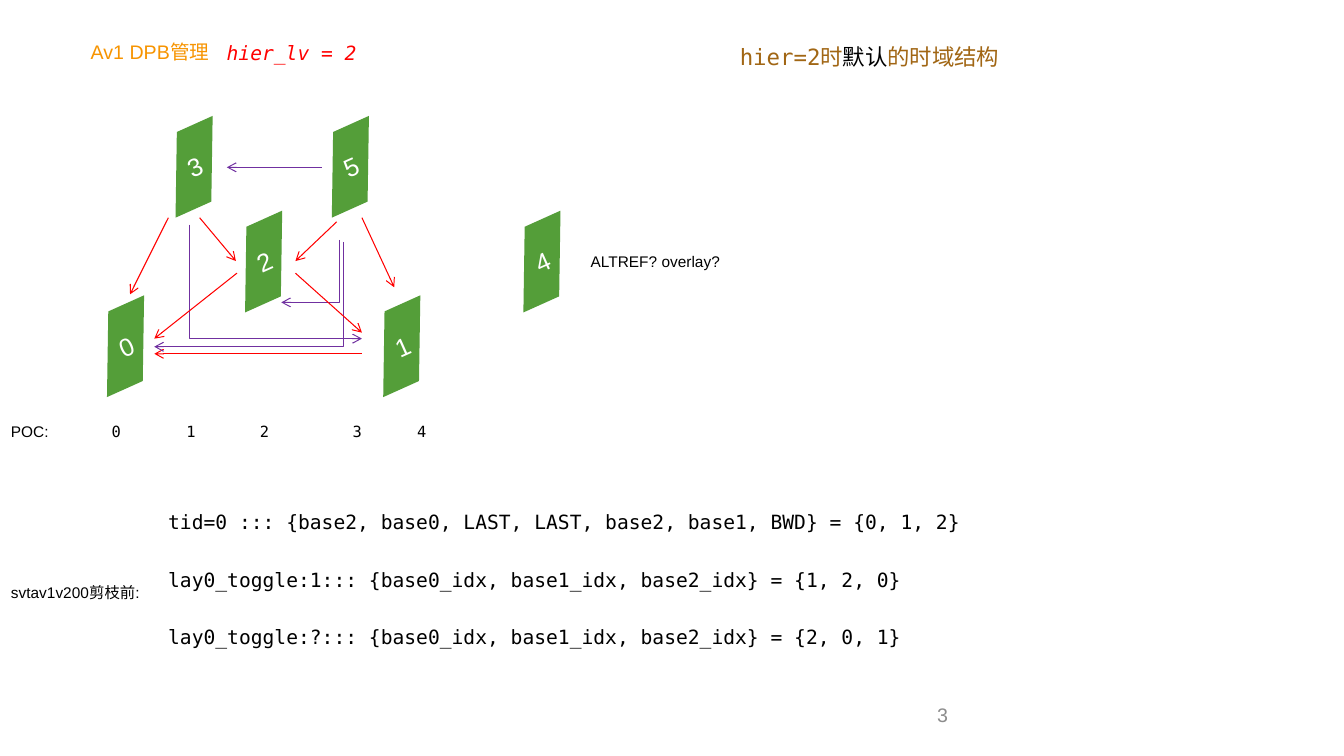
"""Build the slide on the default temporal structure for hier=2."""
from dataclasses import dataclass

from lxml import etree
from pptx import Presentation
from pptx.dml.color import RGBColor
from pptx.enum.shapes import MSO_CONNECTOR, MSO_SHAPE
from pptx.enum.text import MSO_ANCHOR, PP_ALIGN
from pptx.oxml.ns import qn
from pptx.util import Inches, Pt

STRAIGHT, ELBOW = MSO_CONNECTOR.STRAIGHT, MSO_CONNECTOR.ELBOW
PARALLELOGRAM = MSO_SHAPE.PARALLELOGRAM
TOP, MIDDLE = MSO_ANCHOR.TOP, MSO_ANCHOR.MIDDLE
LEFT, CENTER, RIGHT = PP_ALIGN.LEFT, PP_ALIGN.CENTER, PP_ALIGN.RIGHT

GREEN = RGBColor(0x54, 0x9E, 0x39)
RED = RGBColor(0xFF, 0x00, 0x00)
PURPLE = RGBColor(0x70, 0x30, 0xA0)
ORANGE = RGBColor(0xF7, 0x94, 0x00)
BROWN = RGBColor(0xA1, 0x66, 0x14)
GRAY = RGBColor(0x8C, 0x8C, 0x8C)
BLACK = RGBColor(0x00, 0x00, 0x00)
WHITE = RGBColor(0xFF, 0xFF, 0xFF)

SANS, MONO = "Arial", "DejaVu Sans Mono"
CELL = Inches(0.1)
FRAME_W, FRAME_H = 7.5, 7.7
TOP_ROW, MID_ROW, BASE_ROW = 12.7, 22.1, 30.5


@dataclass(frozen=True)
class Run:
    """Text in one font and colour."""
    text: str
    color: RGBColor = BLACK
    font: str = SANS
    italic: bool = False


@dataclass(frozen=True)
class Label:
    """Text box placed in grid columns and rows."""
    col: float
    row: float
    cols: float
    rows: float
    size: int
    paragraphs: tuple[tuple[Run, ...], ...]
    anchor: int = TOP
    align: int = LEFT
    line_spacing: float = 1.0
    gap: float = 0
    tabs: tuple[float, ...] = ()


@dataclass(frozen=True)
class Frame:
    """Numbered video frame."""
    number: str
    col: float
    row: float


@dataclass(frozen=True)
class Arrow:
    """Reference from one frame to another."""
    start: tuple[float, float]
    end: tuple[float, float]
    color: RGBColor = RED
    kind: int = STRAIGHT


FRAMES = (
    Frame("0", 8.7, BASE_ROW), Frame("1", 36.1, BASE_ROW),
    Frame("2", 22.4, MID_ROW), Frame("3", 15.5, TOP_ROW),
    Frame("5", 31, TOP_ROW), Frame("4", 50, MID_ROW),
)
ARROWS = (
    Arrow((16.7, 21.6), (12.9, 29.2)),
    Arrow((35.9, 35.1), (15.3, 35.1)),
    Arrow((35.9, 21.6), (39.1, 28.5)),
    Arrow((19.8, 21.6), (23.4, 25.9)),
    Arrow((33.4, 22), (29.3, 25.9)),
    Arrow((18.8, 22.3), (35.9, 33.6), PURPLE, ELBOW),
    Arrow((34.1, 24), (15.3, 34.4), PURPLE, ELBOW),
    Arrow((33.7, 23.8), (27.9, 30), PURPLE, ELBOW),
    Arrow((31.9, 16.6), (22.5, 16.6), PURPLE),
    Arrow((23.5, 27.1), (15.3, 33.6)),
    Arrow((29.3, 27.1), (35.9, 33)),
)
CODE = (
    "tid=0 ::: {base2, base0, LAST, LAST, base2, base1, BWD} = {0, 1, 2}",
    "lay0_toggle:1::: {base0_idx, base1_idx, base2_idx} = {1, 2, 0}",
    "lay0_toggle:?::: {base0_idx, base1_idx, base2_idx} = {2, 0, 1}",
)
LABELS = (
    Label(49.4, 1.7, 50.7, 8.2, 16,
          ((Run("hier=2时", BROWN, MONO), Run("默认"),
            Run("的时域结构", BROWN, MONO)),), MIDDLE, RIGHT, 0.9),
    Label(71.7, 68.3, 23.3, 5.2, 14, ((Run("3", GRAY),),), MIDDLE, RIGHT),
    Label(8, 2.9, 29.1, 4.7, 14, ((Run("Av1 DPB管理", ORANGE),),),
          MIDDLE, line_spacing=0.9),
    Label(21.5, 3.6, 15.6, 3.3, 14,
          ((Run("hier_lv = 2", RED, MONO, True),),)),
    Label(0.1, 41.4, 43.9, 2.9, 11,
          ((Run("POC:"), Run("\t0\t1\t2\t3\t4", font=MONO)),),
          tabs=(10, 17.4, 24.7, 33.9, 40.3)),
    Label(57.6, 24.5, 19.5, 2.8, 11, ((Run("ALTREF? overlay?"),),)),
    Label(0.1, 57.4, 18.9, 2.9, 11, ((Run("svtav1v200剪枝前:"),),)),
    Label(15.7, 50.1, 83.3, 18.7, 14,
          tuple((Run(line, font=MONO),) for line in CODE), gap=24.4),
)


def grid(cells: float) -> int:
    """Return the length of a number of grid cells."""
    return round(cells * CELL)


def style(font, run: Run) -> None:
    """Apply a run's look to a font."""
    font.name = run.font
    font.color.rgb = run.color
    font.italic = run.italic


def add_label(slide, label: Label) -> None:
    """Draw a text box."""
    s = slide.shapes.add_textbox(*map(grid, (label.col, label.row, label.cols, label.rows)))
    tf = s.text_frame
    tf.word_wrap = True
    tf.vertical_anchor = label.anchor
    for i, runs in enumerate(label.paragraphs):
        p = tf.add_paragraph() if i else tf.paragraphs[0]
        p.alignment = label.align
        p.line_spacing = label.line_spacing
        p.space_before = Pt(label.gap if i else 0)
        p.font.size = Pt(label.size)
        if len(runs) == 1:
            style(p.font, runs[0])
        for run in runs:
            r = p.add_run()
            r.text = run.text
            if len(runs) > 1:
                style(r.font, run)
        if label.tabs:
            stops = etree.Element(qn("a:tabLst"))
            for tab in label.tabs:
                etree.SubElement(stops, qn("a:tab"), pos=str(grid(tab)), algn="l")
            p.font._rPr.addprevious(stops)


def add_frame(slide, frame: Frame) -> None:
    """Draw a tilted frame with its number."""
    s = slide.shapes.add_shape(
        PARALLELOGRAM, *map(grid, (frame.col, frame.row, FRAME_W, FRAME_H)))
    s.adjustments[0] = 0.481
    s.rotation = 335.8
    s.shadow.inherit = False
    s.fill.solid()
    s.fill.fore_color.rgb = GREEN
    s.line.fill.background()
    tf = s.text_frame
    tf.vertical_anchor = MIDDLE
    p = tf.paragraphs[0]
    p.alignment = CENTER
    p.font.size = Pt(18)
    style(p.font, Run(frame.number, WHITE))
    r = p.add_run()
    r.text = frame.number


def add_arrow(slide, arrow: Arrow) -> None:
    """Draw a reference arrow, going down first if it is bent."""
    s = slide.shapes.add_connector(arrow.kind, *map(grid, arrow.start + arrow.end))
    s.line.color.rgb = arrow.color
    s.line.width = Pt(0.75)
    sp_pr = s._element.spPr
    etree.SubElement(s.line._get_or_add_ln(), qn("a:tailEnd"), type="arrow")
    etree.SubElement(sp_pr, qn("a:effectLst"))
    if arrow.kind == ELBOW:
        geom = sp_pr.find(qn("a:prstGeom"))
        geom.set("prst", "bentConnector5")
        guides = geom.find(qn("a:avLst"))
        for i, share in enumerate((0, 100000, 50000), 1):
            etree.SubElement(guides, qn("a:gd"), name=f"adj{i}", fmla=f"val {share}")


def main() -> None:
    """Build and save the slide."""
    prs = Presentation()
    prs.slide_width, prs.slide_height = Inches(13.33), Inches(7.5)
    slide = prs.slides.add_slide(prs.slide_layouts[6])
    for frame in FRAMES:
        add_frame(slide, frame)
    for arrow in ARROWS:
        add_arrow(slide, arrow)
    for label in LABELS:
        add_label(slide, label)
    prs.save("out.pptx")


if __name__ == "__main__":
    main()
